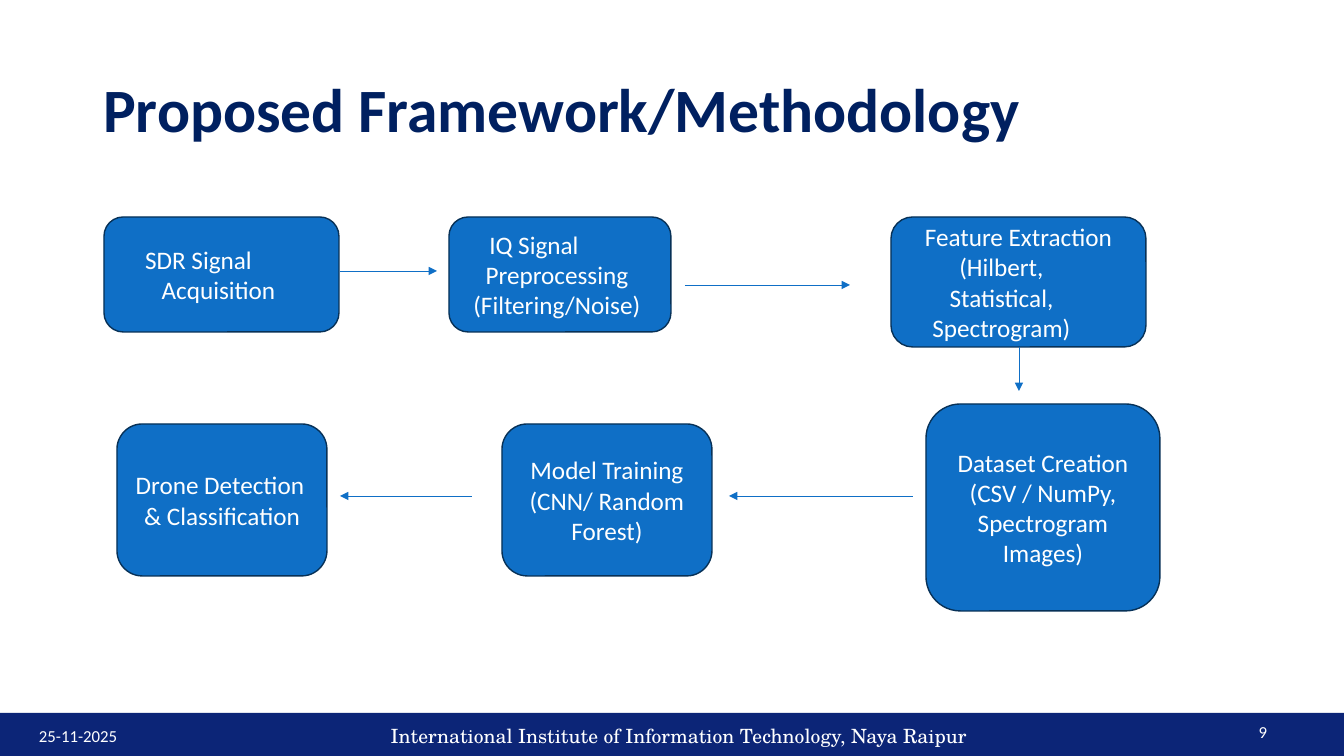
from lxml.etree import SubElement
from pptx import Presentation
from pptx.dml.color import RGBColor
from pptx.enum.shapes import MSO_CONNECTOR as Connector, MSO_SHAPE as Preset
from pptx.enum.text import MSO_ANCHOR as Anchor, MSO_AUTO_SIZE as AutoSize, PP_ALIGN as Align
from pptx.oxml.ns import qn
from pptx.util import Emu, Pt

NAVY, FOOTER, BLUE, OUTLINE, WHITE = "002060", "0C2577", "0F6FC6", "073157", "FFFFFF"
PX_PER_INCH = 100.8


def px(length):
    return Emu(round(length * 914400 / PX_PER_INCH))


def color(hex_text):
    return RGBColor.from_string(hex_text)


class SlideBuilder:
    font = "Calibri"

    def __init__(self, presentation):
        self.slide = presentation.slides.add_slide(presentation.slide_layouts[5])
        self.shapes = self.slide.shapes

    def place(self, shape, box):
        for name, length in zip(("left", "top", "width", "height"), box):
            setattr(shape, name, px(length))

    def set_text(self, shape, lines, size, ink, align=Align.LEFT, bold=False, font=None):
        """Each line is a text, or a pair of text and sideways shift in px."""
        frame = shape.text_frame
        frame_format = {"word_wrap": True, "auto_size": AutoSize.NONE,
                        "vertical_anchor": Anchor.MIDDLE}
        for name, value in frame_format.items():
            setattr(frame, name, value)
        font_format = {"name": font or self.font, "size": Pt(size), "bold": bold}
        for index, line in enumerate(lines):
            text, shift = (line, 0) if isinstance(line, str) else line
            paragraph = frame.paragraphs[0] if index == 0 else frame.add_paragraph()
            paragraph.alignment = align
            if shift:
                # A margin on one side moves a centred line by half its width
                margin = "marL" if shift > 0 else "marR"
                paragraph._p.get_or_add_pPr().set(margin, str(px(2 * abs(shift))))
            run = paragraph.add_run()
            run.text = text
            for name, value in font_format.items():
                setattr(run.font, name, value)
            run.font.color.rgb = color(ink)

    def title(self, text, box):
        title = self.shapes.title
        self.place(title, box)
        self.set_text(title, [text], 44, NAVY, bold=True)
        title.text_frame.paragraphs[0].line_spacing = 0.9

    def label(self, text, box, size=12, **style):
        self.set_text(self.shapes.add_textbox(*map(px, box)), [text], size, WHITE, **style)

    def panel(self, preset, box, fill, outline=None):
        shape = self.shapes.add_shape(preset, *map(px, box))
        shape.shadow.inherit = False
        shape.fill.solid()
        shape.fill.fore_color.rgb = color(fill)
        if outline:
            shape.line.color.rgb = color(outline)
            shape.line.width = Pt(1)
        else:
            shape.line.fill.background()
        return shape

    def step(self, box, lines):
        shape = self.panel(Preset.ROUNDED_RECTANGLE, box, BLUE, OUTLINE)
        self.set_text(shape, lines, 18, WHITE, Align.CENTER)

    def arrow(self, *ends):
        connector = self.shapes.add_connector(Connector.STRAIGHT, *map(px, ends))
        connector.line.color.rgb = color(BLUE)
        connector.line.width = Pt(0.5)
        SubElement(connector.line._get_or_add_ln(), qn("a:tailEnd"), type="triangle")
        SubElement(connector._element.spPr, qn("a:effectLst"))


def main():
    presentation = Presentation()
    presentation.slide_width, presentation.slide_height = px(1344), px(756)
    builder = SlideBuilder(presentation)

    # Footer bar and title
    builder.panel(Preset.RECTANGLE, (0, 713, 1344, 43), FOOTER)
    builder.title("Proposed Framework/Methodology", (93, 40, 1077, 146))
    builder.label("25-11-2025", (29, 719, 244, 33))
    builder.label("9", (1059, 712, 218, 40), align=Align.RIGHT)
    builder.label("International Institute of Information Technology, Naya Raipur",
                  (315, 716, 728, 40), 14, align=Align.CENTER, font="TeX Gyre Schola")

    # Steps in flow order: along the upper row, then back along the lower row
    upper, lower = 217, 424
    steps = [
        ((104, upper, 235, 115), [("SDR Signal", -23), ("Acquisition", -3)]),
        ((449, upper, 222, 115),
         [("IQ Signal", -26), ("Preprocessing", -3), "(Filtering/Noise)"]),
        ((891, upper, 255, 130),
         ["Feature Extraction", ("(Hilbert,", -17), "Statistical,", "Spectrogram)"]),
        ((926, 404, 234, 207), ["Dataset Creation", "(CSV / NumPy, Spectrogram Images)"]),
        ((502, lower, 210, 152), ["Model Training (CNN/ Random Forest)"]),
        ((117, lower, 210, 152), [("Drone Detection", -2), ("& Classification", 2)]),
    ]
    for box, lines in steps:
        builder.step(box, lines)

    # Arrows between steps
    for ends in [(340, 271, 437, 271), (685, 285, 850, 285), (1019, 347, 1019, 391),
                 (913, 496, 729, 496), (472, 496, 340, 496)]:
        builder.arrow(*ends)

    presentation.save("out.pptx")


if __name__ == "__main__":
    main()
